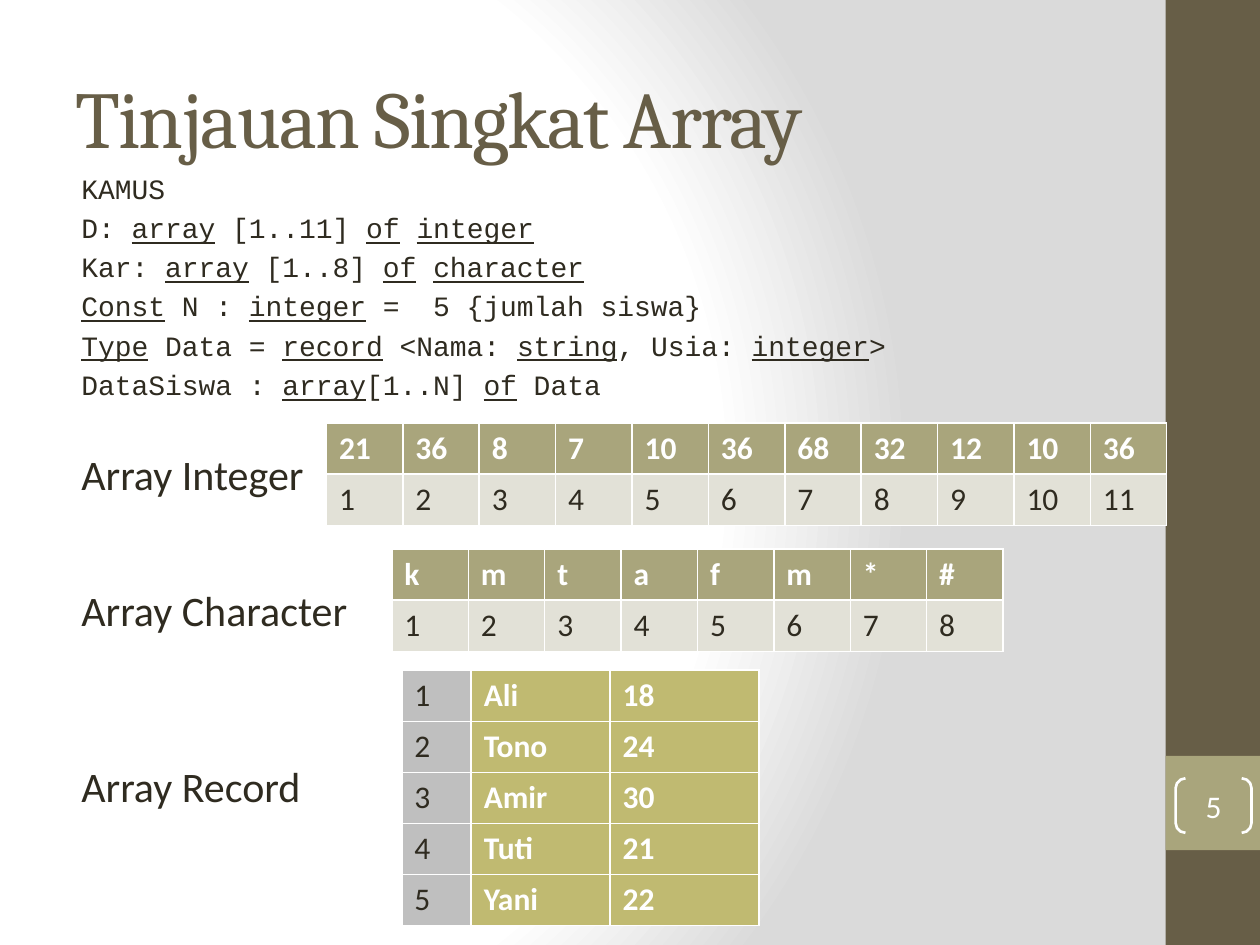
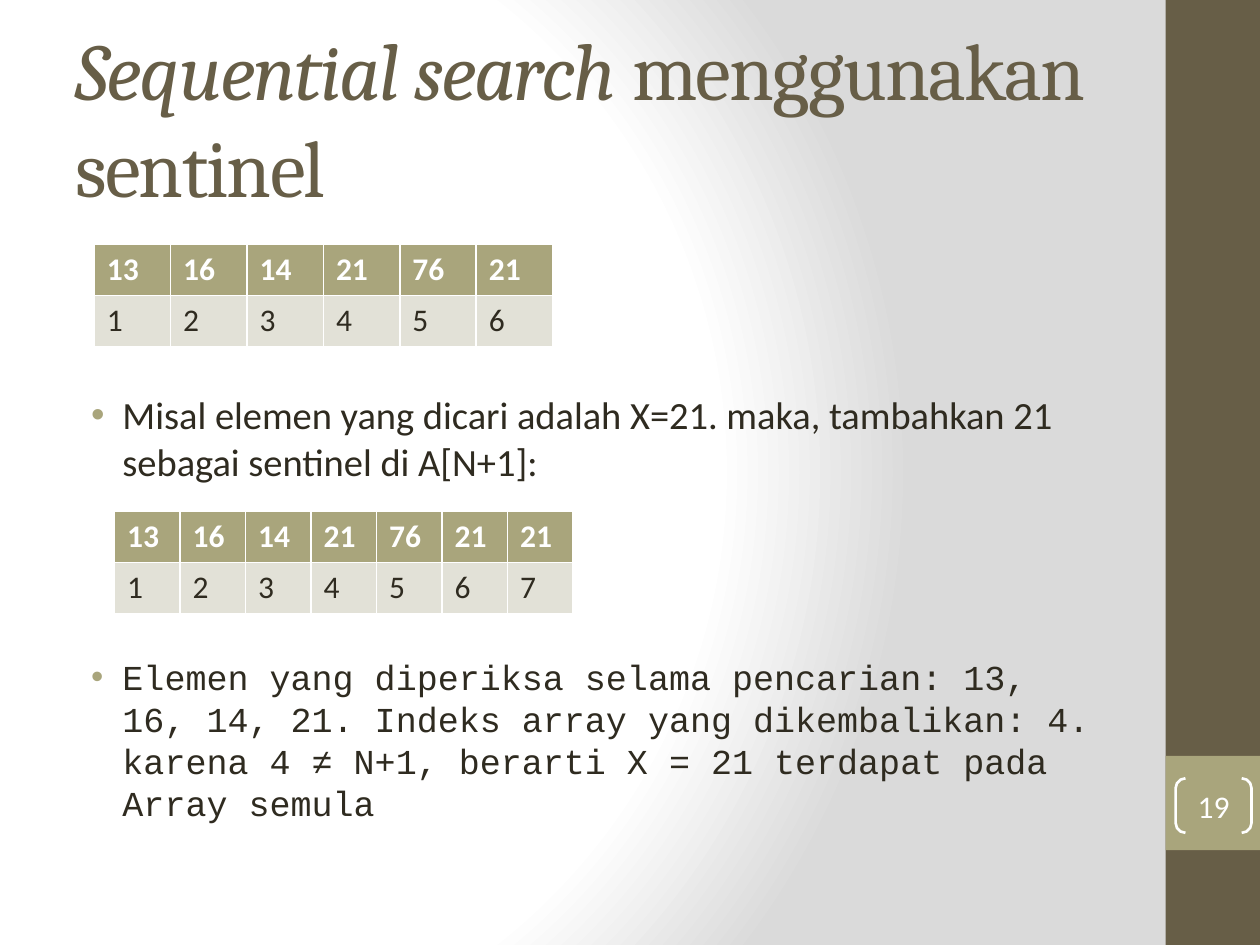
from itertools import cycle

from pptx import Presentation
from pptx.dml.color import RGBColor
from pptx.enum.shapes import MSO_SHAPE as Preset
from pptx.enum.text import MSO_ANCHOR as Anchor, PP_ALIGN as Align
from pptx.oxml import parse_xml
from pptx.oxml.ns import nsdecls, qn
from pptx.util import Cm, Pt

COLORS = {
    "title": "675E47",
    "accent": "A9A57C",
    "ink": "2F2B20",
    "white": "FFFFFF",
    "shade": "DADADA",
    "index": "E2E1D7",
    "number": "BFBFBF",
    "record": "C0BA71",
}
HEADING, SANS, MONO = "Cambria", "Calibri", "Courier New"
ROW_HEIGHT = 1.03
BODY_WIDTH, BODY_HEIGHT = 21.16, 13.34

DECLARATIONS = [
    "KAMUS",
    "D: _array_ [1..11] _of_ _integer_",
    "Kar: _array_ [1..8] _of_ _character_",
    "_Const_ N : _integer_ =  5 {jumlah siswa}",
    "_Type_ Data = _record_ <Nama: _string_, Usia: _integer_>",
    "DataSiswa : _array_[1..N] _of_ Data",
]
ARRAY_LABELS = [("Array Integer", 27), ("Array Character", 49.3), ("Array Record", 71.6)]
INTEGERS = [21, 36, 8, 7, 10, 36, 68, 32, 12, 10, 36]
STUDENTS = [("Ali", 18), ("Tono", 24), ("Amir", 30), ("Tuti", 21), ("Yani", 22)]
SEARCHED = [13, 16, 14, 21, 76, 21]
SENTINEL = 21
SENTINEL_STEP = "Misal elemen yang dicari adalah X=21. maka, tambahkan 21 sebagai sentinel di A[N+1]:"
SEARCH_RESULT = (
    "Elemen yang diperiksa selama pencarian: 13, 16, 14, 21. Indeks array yang "
    "dikembalikan: 4. karena 4 ≠ N+1, berarti X = 21 terdapat pada Array semula"
)


def rgb(name):
    """Return the named colour."""
    return RGBColor.from_string(COLORS[name])


def style(paragraph, face, size, color="ink", bold=False):
    """Set the font that all runs of a paragraph share."""
    font = paragraph.font
    font.name, font.size, font.bold = face, Pt(size), bold
    font.color.rgb = rgb(color)


def add_marked_runs(paragraph, marked, emphasis):
    """Add runs, giving the emphasis to words between underscores."""
    for text, emphasized in zip(marked.split("_"), cycle((False, True))):
        if text:
            run = paragraph.add_run()
            run.text = text
            if emphasized:
                setattr(run.font, emphasis, True)


def add_frame(slide, left, top, width, height):
    """Add a wrapping text box and return its text frame."""
    frame = slide.shapes.add_textbox(Cm(left), Cm(top), Cm(width), Cm(height)).text_frame
    frame.word_wrap = True
    return frame


def add_paragraph(frame, marked, face, size, before=0):
    """Fill the first paragraph of a frame or add another below it."""
    first = frame.paragraphs[0]
    paragraph = frame.add_paragraph() if first.runs else first
    add_marked_runs(paragraph, marked, "underline")
    style(paragraph, face, size)
    paragraph.space_before = Pt(before)
    return paragraph


def set_indent(paragraph, margin, first_line=0):
    """Set the left margin and the first-line indent."""
    properties = paragraph._p.get_or_add_pPr()
    properties.set("marL", str(Cm(margin)))
    properties.set("indent", str(Cm(first_line)))
    return properties


def add_bullet(paragraph):
    """Give a paragraph a hanging bullet in the accent colour."""
    properties = set_indent(paragraph, 0.95, -0.63)
    bullet = (
        f'<a:buClr {nsdecls("a")}><a:srgbClr val="{COLORS["accent"]}"/></a:buClr>',
        f'<a:buFont {nsdecls("a")} typeface="Arial"/>',
        f'<a:buChar {nsdecls("a")} char="•"/>',
    )
    defaults = properties.find(qn("a:defRPr"))
    for part in bullet:
        defaults.addprevious(parse_xml(part))


def paint_background(slide):
    """Lay the round white to grey gradient behind the slide."""
    slide.background.fill.solid()
    stops = "".join(
        f'<a:gs pos="{position}000"><a:srgbClr val="{COLORS[color]}"/></a:gs>'
        for position, color in ((0, "white"), (75, "white"), (100, "shade"))
    )
    gradient = parse_xml(
        f'<a:gradFill {nsdecls("a")} rotWithShape="1"><a:gsLst>{stops}</a:gsLst>'
        '<a:path path="circle"><a:fillToRect l="20000" t="50000" r="100000" b="50000"/>'
        "</a:path></a:gradFill>"
    )
    properties = slide.element.find(".//" + qn("p:bgPr"))
    properties.replace(properties[0], gradient)


def add_side_band(slide, number, left, width, height):
    """Draw the side band with its page number tab."""
    for top, part_height, color in ((0, height, "title"), (0.8 * height, width, "accent")):
        band = slide.shapes.add_shape(
            Preset.RECTANGLE, Cm(left), Cm(top), Cm(width), Cm(part_height)
        )
        band.shadow.inherit = False
        band.fill.solid()
        band.fill.fore_color.rgb = rgb(color)
        band.line.fill.background()
    brackets = slide.shapes.add_shape(
        Preset.DOUBLE_BRACKET, Cm(left + 0.2), Cm(0.8 * height + 0.45), Cm(1.53), Cm(1.1)
    )
    brackets.shadow.inherit = False
    brackets.adjustments[0] = 0.18
    brackets.fill.background()
    brackets.line.color.rgb = rgb("white")
    brackets.line.width = Pt(1.5)
    frame = brackets.text_frame
    frame.margin_left = frame.margin_top = frame.margin_right = frame.margin_bottom = 0
    frame.vertical_anchor = Anchor.MIDDLE
    page = frame.paragraphs[0]
    page.text = str(number)
    page.alignment = Align.CENTER
    style(page, SANS, 18, "white")


def add_title(slide, marked, left, top, width, height):
    """Write the slide title, with marked words in italics."""
    frame = add_frame(slide, left, top, width, height)
    frame.vertical_anchor = Anchor.MIDDLE
    title = frame.paragraphs[0]
    add_marked_runs(title, marked, "italic")
    style(title, HEADING, 46, "title")
    for run in title.runs:
        run.font._element.set("spc", "-100")


def start_slide(deck, title, number):
    """Add a slide with the background, band and title that all share."""
    slide = deck.slides.add_slide(deck.slide_layouts[6])
    paint_background(slide)
    add_side_band(slide, number, 23.5, 1.9, 19.05)
    add_title(slide, title, 1.27, 0.76, BODY_WIDTH, 3.18)
    return slide


def add_grid(slide, left, top, widths, rows, look):
    """Add a table whose look(row, column) gives fill, ink and boldness."""
    table = slide.shapes.add_table(
        len(rows), len(widths), Cm(left), Cm(top), Cm(sum(widths)), Cm(ROW_HEIGHT * len(rows))
    ).table
    for column, width in zip(table.columns, widths):
        column.width = Cm(width)
    for r, values in enumerate(rows):
        table.rows[r].height = Cm(ROW_HEIGHT)
        for c, value in enumerate(values):
            fill, ink, bold = look(r, c)
            cell = table.cell(r, c)
            cell.fill.solid()
            cell.fill.fore_color.rgb = rgb(fill)
            entry = cell.text_frame.paragraphs[0]
            entry.text = str(value)
            style(entry, SANS, 18, ink, bold)


def array_look(row, column):
    """Colour the values above and the indices below."""
    return ("index", "ink", False) if row else ("accent", "white", True)


def record_look(row, column):
    """Colour the record numbers at the left and the fields beside them."""
    return ("record", "white", True) if column else ("number", "ink", False)


def add_array(slide, left, top, values, column_width=1.54):
    """Show an array as its values over their indices from one."""
    rows = [values, range(1, len(values) + 1)]
    add_grid(slide, left, top, [column_width] * len(values), rows, array_look)


def build_array_review(deck):
    """Build the slide that reviews arrays."""
    slide = start_slide(deck, "Tinjauan Singkat Array", 5)
    body = add_frame(slide, 1.09, 3.33, BODY_WIDTH, BODY_HEIGHT)
    for line in DECLARATIONS:
        set_indent(add_paragraph(body, line, MONO, 16, 3.2), 0.3)
    for label, gap in ARRAY_LABELS:
        set_indent(add_paragraph(body, label, SANS, 24, gap), 0.3)
    add_array(slide, 6.58, 8.53, INTEGERS)
    add_array(slide, 7.9, 11.07, "kmtafm*#")
    students = [(number, *student) for number, student in enumerate(STUDENTS, 1)]
    add_grid(slide, 8.1, 13.51, [1.4, 2.8, 3], students, record_look)


def build_sentinel_search(deck):
    """Build the slide on sequential search with a sentinel."""
    slide = start_slide(deck, "_Sequential search _menggunakan sentinel", 19)
    body = add_frame(slide, 1.27, 4.45, BODY_WIDTH, BODY_HEIGHT)
    body.margin_top = Cm(3.44)
    add_bullet(add_paragraph(body, SENTINEL_STEP, SANS, 22))
    add_bullet(add_paragraph(body, SEARCH_RESULT, MONO, 20, 98))
    add_array(slide, 1.9, 4.93, SEARCHED)
    add_array(slide, 2.31, 10.31, SEARCHED + [SENTINEL], 1.32)


def main():
    """Build and save the presentation."""
    deck = Presentation()
    deck.slide_width, deck.slide_height = Cm(25.4), Cm(19.05)
    build_array_review(deck)
    build_sentinel_search(deck)
    deck.save("out.pptx")


main()
